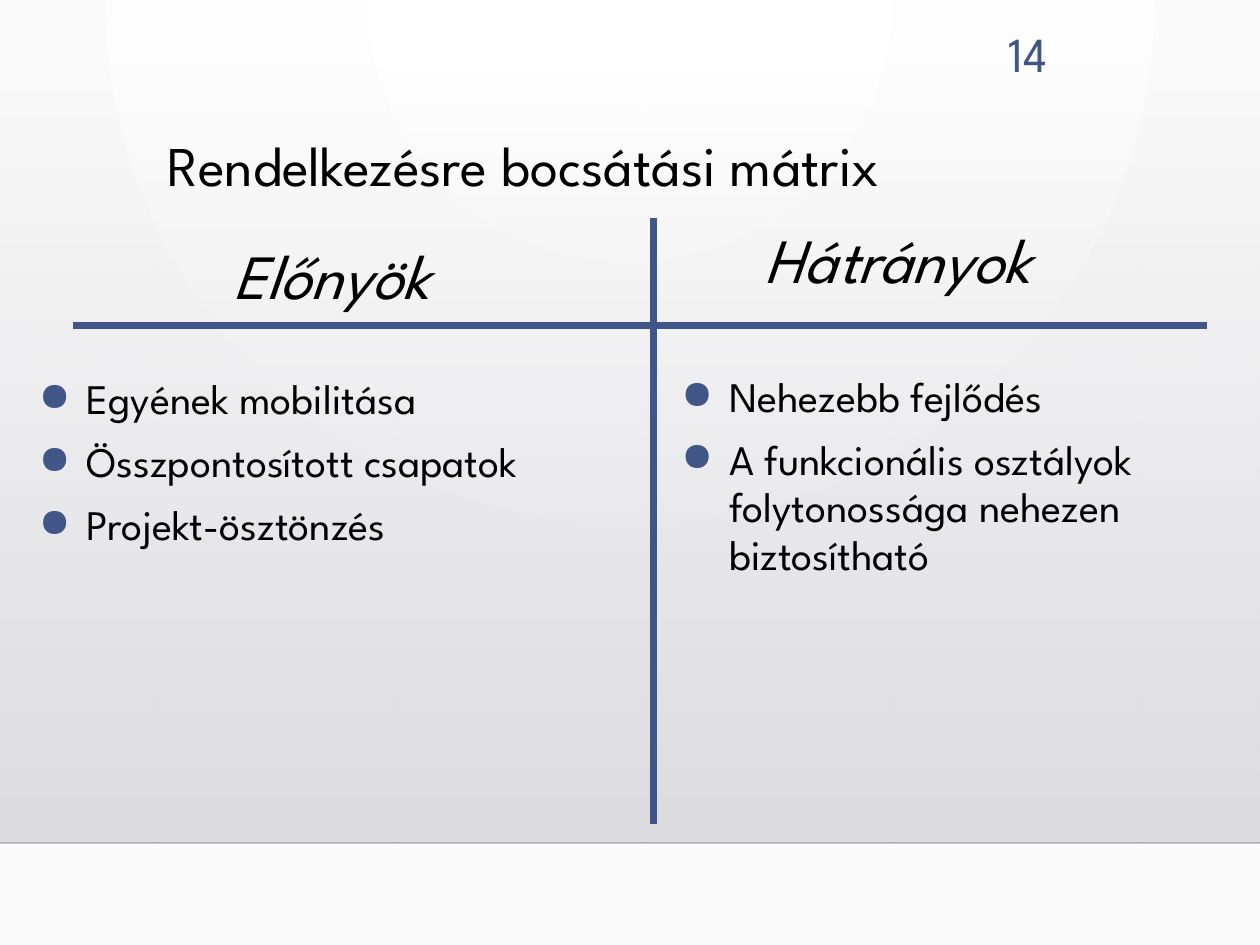
"""Build the slide on the pros and cons of the staffing matrix."""
from dataclasses import dataclass

from lxml import etree
from pptx import Presentation, util as u
from pptx.dml.color import RGBColor
from pptx.enum import shapes, text
from pptx.oxml import parse_xml
from pptx.oxml.ns import nsdecls, qn


@dataclass(frozen=True)
class Theme:
    """Hold the slide's size, colours and type sizes."""
    width: float = 10
    height: float = 7.5
    font: str = "League Spartan"
    ink: str = "000000"
    accent: str = "415588"
    number: int = 28
    title: int = 32
    heading: int = 36
    body: int = 24
    rule: float = 4


T = Theme()
FLOOR = 6.69
AXIS_X, AXIS_Y = 5.19, 2.58
COLUMNS = (
    ("Előnyök", (0.12, 1.92, 5.02, 0.61), (0.21, 2.94, 4.98, 1.52),
     ("Egyének mobilitása", "Összpontosított csapatok", "Projekt-ösztönzés")),
    ("Hátrányok", (4.72, 1.79, 4.81, 0.61), (5.31, 2.92, 4.8, 2.28),
     ("Nehezebb fejlődés",
      "A funkcionális osztályok folytonossága nehezen biztosítható")),
)


def gradient(stops, direction):
    """Return a gradient fill from (position, colour, opacity) stops in percent."""
    gs = "".join(
        f'<a:gs pos="{pos * 1000}"><a:srgbClr val="{color}">'
        f'<a:alpha val="{opacity * 1000}"/></a:srgbClr></a:gs>'
        for pos, color, opacity in stops)
    return parse_xml(f'<a:gradFill {nsdecls("a")} rotWithShape="1">'
                     f'<a:gsLst>{gs}</a:gsLst>{direction}</a:gradFill>')


def replace_gradient(fill, parent, new):
    """Swap the default gradient under parent for a new one."""
    fill.gradient()
    old = parent.find(".//" + qn("a:gradFill"))
    old.getparent().replace(old, new)


def add_backdrop(s):
    """Paint the radial background and the panel that darkens downwards."""
    radial = ('<a:path path="circle"><a:fillToRect l="43000" t="0" '
              'r="43000" b="100000"/></a:path>')
    replace_gradient(s.background.fill, s.element,
                     gradient([(0, "FFFFFF", 100), (100, "FAFAFA", 100)], radial))
    top = 0.51
    sp = s.shapes.add_shape(shapes.MSO_SHAPE.RECTANGLE, 0, u.Inches(top),
                            u.Inches(T.width), u.Inches(FLOOR - top))
    sp.shadow.inherit = False
    sp.line.fill.background()
    replace_gradient(sp.fill, sp.element.spPr,
                     gradient([(0, "DCDCE0", 0), (100, "DEDEE2", 100)],
                              '<a:lin ang="5400000" scaled="0"/>'))


def add_line(s, start, end, color, width, opacity=100):
    """Draw a straight line between two points."""
    c = s.shapes.add_connector(shapes.MSO_CONNECTOR.STRAIGHT,
                               *map(u.Inches, start + end))
    c.line.color.rgb = RGBColor.from_string(color)
    c.line.width = u.Pt(width)
    spPr = c.element.spPr
    if opacity < 100:
        clr = spPr.find(".//" + qn("a:srgbClr"))
        etree.SubElement(clr, qn("a:alpha")).set("val", str(opacity * 1000))
    etree.SubElement(spPr, qn("a:effectLst"))


def add_text(s, box, lines, size, color=T.ink, align=None, spacing=1.0, italic=None):
    """Add a text box with one paragraph per line and return its paragraphs."""
    tf = s.shapes.add_textbox(*map(u.Inches, box)).text_frame
    tf.word_wrap = True
    tf.text = "\n".join(lines)
    for p in tf.paragraphs:
        p.alignment = align
        p.line_spacing = spacing
        for r in p.runs:
            r.font.name, r.font.size, r.font.italic = T.font, u.Pt(size), italic
            r.font.color.rgb = RGBColor.from_string(color)
    return tf.paragraphs


def add_bullets(s, box, items):
    """Add a list with round accent bullets."""
    for i, p in enumerate(add_text(s, box, items, T.body, spacing=0.95)):
        p.space_before = u.Pt(T.body * 0.25 if i else 0)
        p.space_after = u.Pt(T.body * 0.1)
        pPr = p._p.get_or_add_pPr()
        indent = u.Inches(0.38)
        pPr.set("marL", str(indent))
        pPr.set("indent", str(-indent))
        clr = etree.SubElement(pPr, qn("a:buClr"))
        etree.SubElement(clr, qn("a:srgbClr")).set("val", T.accent)
        etree.SubElement(pPr, qn("a:buSzPct")).set("val", "95000")
        etree.SubElement(pPr, qn("a:buChar")).set("char", "●")


def main():
    """Build and save the slide."""
    prs = Presentation()
    prs.slide_width, prs.slide_height = u.Inches(T.width), u.Inches(T.height)
    s = prs.slides.add_slide(prs.slide_layouts[6])
    add_backdrop(s)
    add_line(s, (0, FLOOR), (T.width, FLOOR), "000001", 1, opacity=20)
    add_text(s, (7.54, 0.14, 0.87, 0.55), ["14"], T.number, T.accent,
             text.PP_ALIGN.RIGHT)
    add_text(s, (1.23, 1.05, 7.19, 1.15), ["Rendelkezésre bocsátási mátrix"],
             T.title, spacing=0.9)
    add_line(s, (0.58, AXIS_Y), (9.58, AXIS_Y), T.accent, T.rule)
    add_line(s, (AXIS_X, 1.73), (AXIS_X, 6.54), T.accent, T.rule)
    for heading, heading_box, list_box, items in COLUMNS:
        add_text(s, heading_box, [heading], T.heading,
                 align=text.PP_ALIGN.CENTER, spacing=0.85, italic=True)
        add_bullets(s, list_box, items)
    prs.save("out.pptx")


if __name__ == "__main__":
    main()
